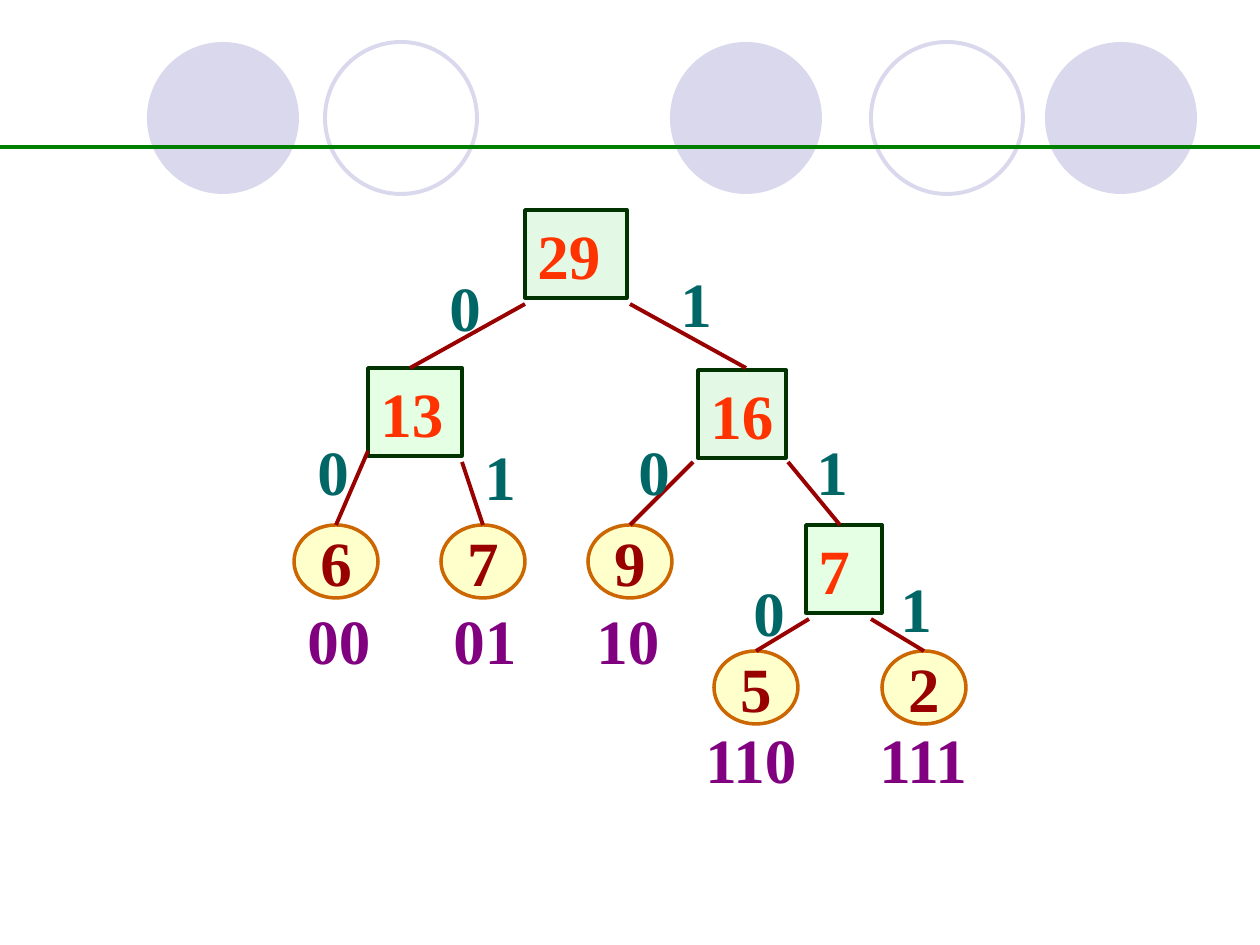
from pptx import Presentation
from pptx import util as u
from pptx.dml.color import RGBColor
from pptx.enum import shapes, text
from pptx.oxml import parse_xml
from pptx.oxml.ns import nsdecls

PX = u.Inches(1) / 126
FONT = "Times New Roman"

LAVENDER = RGBColor(0xD9, 0xD8, 0xEC)
RULE_GREEN = RGBColor(0x00, 0x80, 0x00)
LEAF_FILL = RGBColor(0xFF, 0xFF, 0x99)
LEAF_LINE = RGBColor(0xCC, 0x66, 0x00)
NODE_FILL = RGBColor(0xCC, 0xFF, 0xCC)
NODE_FILL_DULL = RGBColor(0xCA, 0xF2, 0xCE)
NODE_LINE = RGBColor(0x00, 0x33, 0x00)
NODE_TEXT = RGBColor(0xFF, 0x33, 0x00)
DARK_RED = RGBColor(0x99, 0x00, 0x00)
BIT_TEAL = RGBColor(0x00, 0x66, 0x66)
CODE_PURPLE = RGBColor(0x80, 0x00, 0x80)


def px(*lengths):
    return [round(length * PX) for length in lengths]


def write(shape, words, color, align=text.PP_ALIGN.LEFT,
          anchor=text.MSO_ANCHOR.TOP, wrap=False, size=36):
    frame = shape.text_frame
    frame.word_wrap = wrap
    frame.vertical_anchor = anchor
    paragraph = frame.paragraphs[0]
    paragraph.alignment = align
    run = paragraph.add_run()
    run.text = words
    run.font.name = FONT
    run.font.size = u.Pt(size)
    run.font.bold = True
    run.font.color.rgb = color


def add_label(slide, words, x, y, width, color):
    write(slide.shapes.add_textbox(*px(x, y, width, 88)), words, color)


def add_outline(slide, kind, x, y, width, height, fill=None, line=None,
                weight=2, opacity=100):
    shape = slide.shapes.add_shape(kind, *px(x, y, width, height))
    shape.shadow.inherit = False
    if fill is None:
        shape.fill.background()
    else:
        shape.fill.solid()
        shape.fill.fore_color.rgb = fill
        if opacity < 100:
            tint = shape.fill._xPr.find(".//{*}srgbClr")
            tint.append(parse_xml(
                f'<a:alpha {nsdecls("a")} val="{opacity * 1000}"/>'))
    if line is None:
        shape.line.fill.background()
    else:
        shape.line.color.rgb = line
        shape.line.width = u.Pt(weight)
    return shape


def add_line(slide, x1, y1, x2, y2, color, weight):
    line = slide.shapes.add_connector(
        shapes.MSO_CONNECTOR.STRAIGHT, *px(x1, y1, x2, y2))
    line.line.color.rgb = color
    line.line.width = u.Pt(weight)
    line._element.spPr.append(parse_xml(f'<a:effectLst {nsdecls("a")}/>'))


def header(slide, left, top, width):
    oval = shapes.MSO_SHAPE.OVAL
    for x in (147, 670, 1045):
        add_outline(slide, oval, left + x, top, 152, 152, fill=LAVENDER)
    for x in (325, 871):
        add_outline(slide, oval, left + x, top, 152, 152,
                    line=LAVENDER, weight=2.25)
    add_line(slide, left, top + 105, left + width, top + 105, RULE_GREEN, 2.5)


def code_tree(slide, left, top):
    # Leaves: symbol weights
    for weight, x, y in (("6", 0, 315), ("7", 147, 315), ("9", 294, 315),
                         ("5", 420, 441), ("2", 588, 441)):
        leaf = add_outline(slide, shapes.MSO_SHAPE.OVAL, left + x, top + y,
                           84, 73, LEAF_FILL, LEAF_LINE, opacity=50)
        write(leaf, weight, DARK_RED, text.PP_ALIGN.CENTER,
              text.MSO_ANCHOR.MIDDLE)

    # Inner nodes: summed weights
    for total, x, y, width, fill in (("29", 231, 0, 102, NODE_FILL_DULL),
                                     ("13", 74, 158, 94, NODE_FILL),
                                     ("16", 404, 160, 88, NODE_FILL_DULL),
                                     ("7", 512, 315, 76, NODE_FILL)):
        node = add_outline(slide, shapes.MSO_SHAPE.RECTANGLE, left + x,
                           top + y, width, 88, fill, NODE_LINE, opacity=50)
        write(node, total, NODE_TEXT, wrap=total != "16")

    # Branches, parent to child
    for x1, y1, x2, y2 in ((231, 94, 116, 158), (336, 94, 452, 158),
                           (74, 241, 42, 315), (168, 252, 189, 315),
                           (399, 252, 336, 315), (494, 252, 546, 315),
                           (515, 409, 462, 441), (577, 409, 630, 441)):
        add_line(slide, left + x1, top + y1, left + x2, top + y2,
                 DARK_RED, 2.25)

    # Bit on each branch
    for bit, places in (
            ("0", ((143, 52), (11, 216), (332, 216), (447, 357))),
            ("1", ((374, 48), (178, 221), (510, 216), (594, 353)))):
        for x, y in places:
            add_label(slide, bit, left + x, top + y, 57, BIT_TEAL)

    # Code word under each leaf
    for code, x, y in (("00", 1, 385), ("01", 147, 385), ("10", 290, 385),
                       ("110", 399, 504), ("111", 573, 504)):
        add_label(slide, code, left + x, top + y, 25 + 32 * len(code),
                  CODE_PURPLE)


def main():
    deck = Presentation()
    deck.slide_width, deck.slide_height = px(1260, 945)
    slide = deck.slides.add_slide(deck.slide_layouts[6])
    header(slide, 0, 42, 1260)
    code_tree(slide, 294, 210)
    deck.save("out.pptx")


if __name__ == "__main__":
    main()
